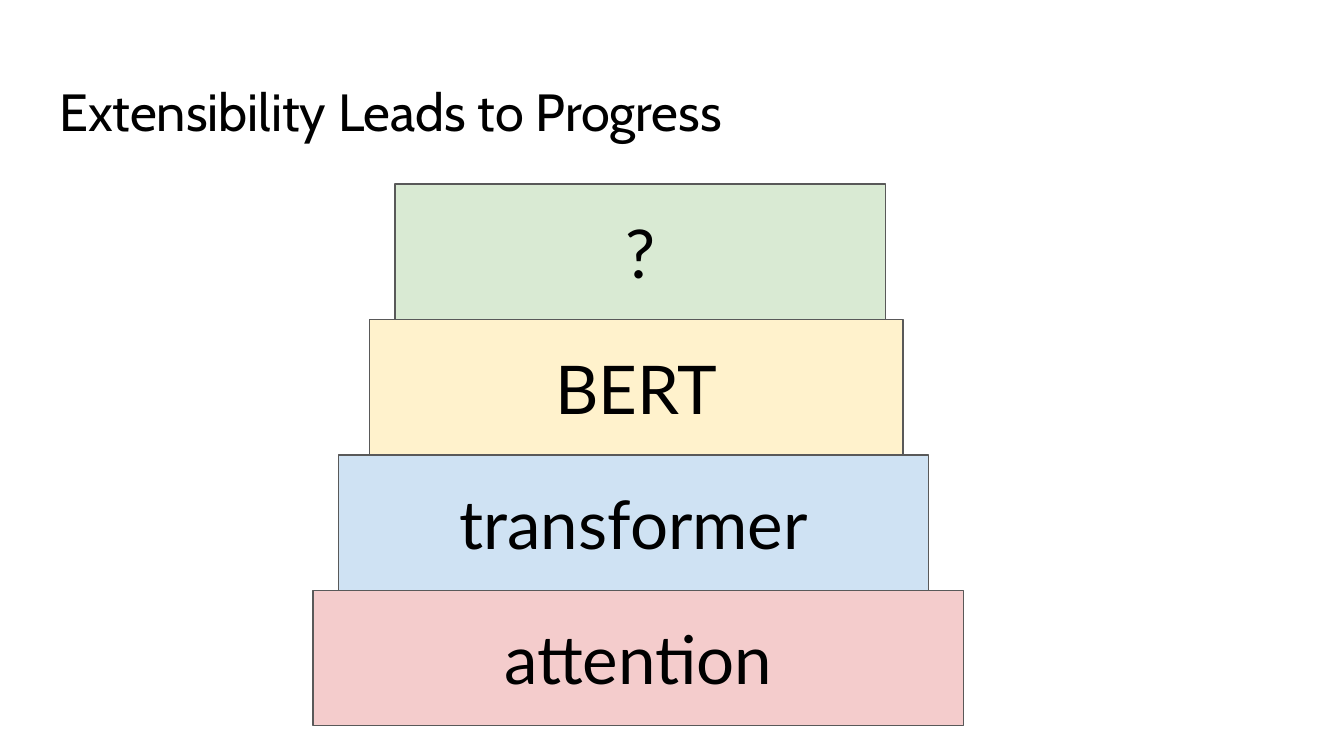
"""Build the slide "Extensibility Leads to Progress" with a stack of four layers."""
from pptx import Presentation
from pptx.dml.color import RGBColor
from pptx.enum.shapes import MSO_SHAPE
from pptx.enum.text import MSO_ANCHOR, MSO_AUTO_SIZE, PP_ALIGN
from pptx.util import Inches, Pt

RECTANGLE = MSO_SHAPE.RECTANGLE
TOP, MIDDLE = MSO_ANCHOR.TOP, MSO_ANCHOR.MIDDLE
LEFT, CENTER = PP_ALIGN.LEFT, PP_ALIGN.CENTER
NO_FIT = MSO_AUTO_SIZE.NONE

BLACK = RGBColor(0x00, 0x00, 0x00)
GRAY = RGBColor(0x59, 0x59, 0x59)
RED = RGBColor(0xF4, 0xCC, 0xCC)
BLUE = RGBColor(0xCF, 0xE2, 0xF3)
YELLOW = RGBColor(0xFF, 0xF2, 0xCC)
GREEN = RGBColor(0xD9, 0xEA, 0xD3)

LAYERS = [
    ("attention", 2.33, 4.84, RED),
    ("transformer", 2.52, 4.39, BLUE),
    ("BERT", 2.75, 3.97, YELLOW),
    ("?", 2.94, 3.65, GREEN),
]
STACK_TOP, STACK_BOTTOM = 1.37, 5.4
LAYER_HEIGHT = (STACK_BOTTOM - STACK_TOP) / len(LAYERS)


def write_text(box, text, font_name, size, align, anchor):
    frame = box.text_frame
    frame.word_wrap = True
    frame.auto_size = NO_FIT
    frame.vertical_anchor = anchor
    frame.margin_left = frame.margin_right = Inches(0.1)
    frame.margin_top = frame.margin_bottom = Inches(0.1)
    para = frame.paragraphs[0]
    para.alignment = align
    para.line_spacing = 1.0
    para.space_before = Pt(0)
    span = para.add_run()
    span.text = text
    span.font.name = font_name
    span.font.size = Pt(size)
    span.font.color.rgb = BLACK


deck = Presentation()
deck.slide_width = Inches(10)
deck.slide_height = Inches(10 * 9 / 16)
page = deck.slides.add_slide(deck.slide_layouts.get_by_name("Title Only"))

title = page.shapes.title
title.left, title.top = Inches(0.34), Inches(0.49)
title.width, title.height = Inches(9.32), Inches(0.63)
write_text(title, "Extensibility Leads to Progress", "Cabin", 28, LEFT, TOP)

for level, (label, left, width, color) in enumerate(LAYERS, start=1):
    top = STACK_BOTTOM - level * LAYER_HEIGHT
    layer = page.shapes.add_shape(
        RECTANGLE, Inches(left), Inches(top), Inches(width), Inches(LAYER_HEIGHT)
    )
    layer.shadow.inherit = False
    layer.fill.solid()
    layer.fill.fore_color.rgb = color
    layer.line.color.rgb = GRAY
    layer.line.width = Pt(0.75)
    write_text(layer, label, "Lato", 36, CENTER, MIDDLE)

deck.save("out.pptx")
